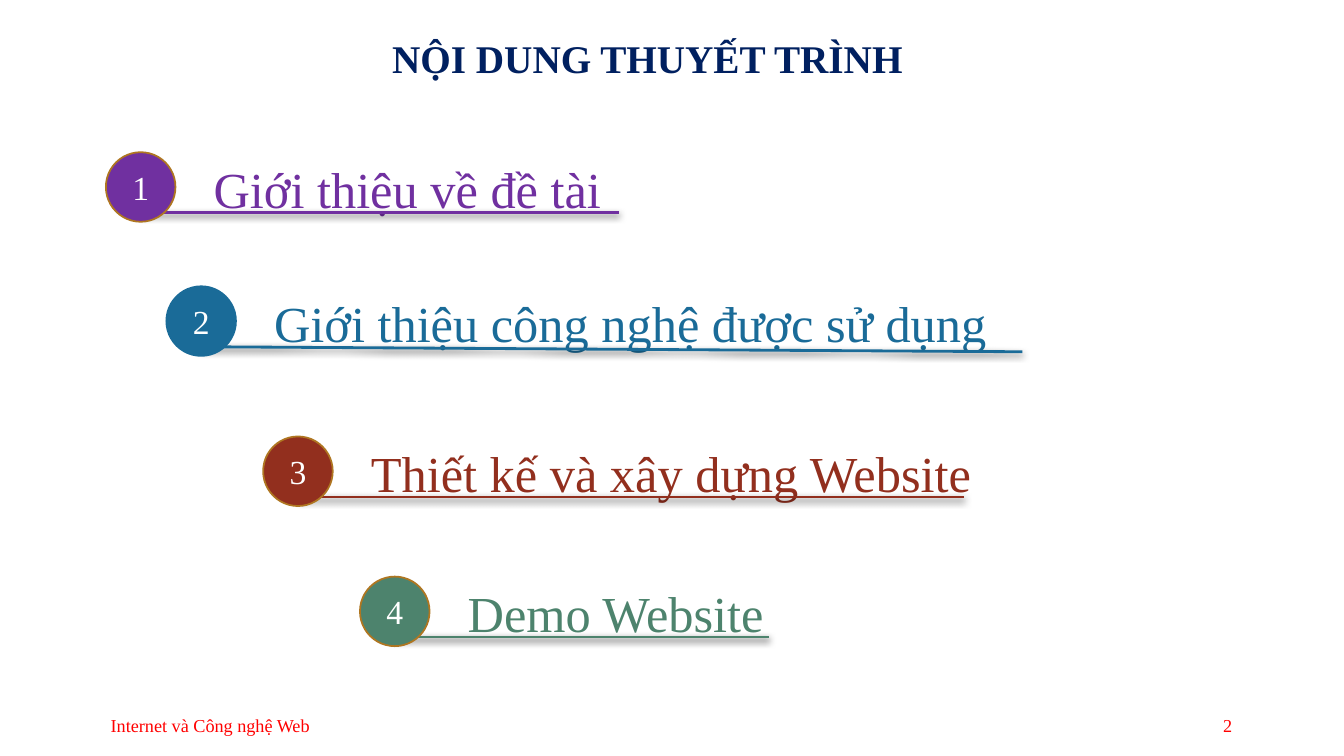
from lxml import etree
from pptx import Presentation, util as u
from pptx.dml.color import RGBColor
from pptx.enum import shapes, text
from pptx.oxml.ns import qn

NAVY = RGBColor(0x00, 0x20, 0x60)
RED = RGBColor(0xFF, 0x00, 0x00)
WHITE = RGBColor(0xFF, 0xFF, 0xFF)
GOLD = RGBColor(0xAF, 0x76, 0x21)
PURPLE = RGBColor(0x70, 0x30, 0xA0)
BLUE = RGBColor(0x1A, 0x6B, 0x98)
RUST = RGBColor(0x92, 0x2F, 0x1E)
GREEN = RGBColor(0x4D, 0x83, 0x6D)

FONT = "Times New Roman"
TITLE = "NỘI DUNG THUYẾT TRÌNH"
FOOTER = "Internet và Công nghệ Web"
PAGE = "2"
TOPICS = [
    dict(label="Giới thiệu về đề tài", at=(105, 151), wide=510, end=614, drop=0, color=PURPLE, rim=GOLD),
    dict(label="Giới thiệu công nghệ được sử dụng", at=(165, 284), wide=874, end=1014, drop=5, color=BLUE, rim=BLUE),
    dict(label="Thiết kế và xây dựng Website", at=(261, 433), wide=778, end=956, drop=0, color=RUST, rim=GOLD),
    dict(label="Demo Website", at=(357, 572), wide=510, end=763, drop=0, color=GREEN, rim=GOLD),
]

PX = 9144
DISC = 69
LEFT, RIGHT, CENTER = text.PP_ALIGN.LEFT, text.PP_ALIGN.RIGHT, text.PP_ALIGN.CENTER
TOP, MIDDLE = text.MSO_ANCHOR.TOP, text.MSO_ANCHOR.MIDDLE


def px(*vals):
    return [u.Emu(val * PX) for val in vals]


def write(shape, words, size, color, align=LEFT, anchor=MIDDLE, bold=False, pad=5):
    frame = shape.text_frame
    side, edge = px(10, pad)
    look = dict(word_wrap=True, auto_size=text.MSO_AUTO_SIZE.NONE, vertical_anchor=anchor,
                margin_left=side, margin_right=side, margin_top=edge, margin_bottom=edge)
    for name, val in look.items():
        setattr(frame, name, val)
    para = frame.paragraphs[0]
    para.alignment = align
    run = para.add_run()
    run.text = words
    for name, val in dict(name=FONT, size=u.Pt(size), bold=bold).items():
        setattr(run.font, name, val)
    run.font.color.rgb = color


def shade(line):
    effects = etree.SubElement(line._element.spPr, qn("a:effectLst"))
    outer = etree.SubElement(effects, qn("a:outerShdw"), blurRad=str(u.Pt(5)),
                             dist=str(u.Pt(2)), dir="5400000", algn="t", rotWithShape="0")
    black = etree.SubElement(outer, qn("a:srgbClr"), val="000000")
    etree.SubElement(black, qn("a:alpha"), val="60000")


def add_topic(slide, num, label, at, wide, end, drop, color, rim):
    x, y = at
    box = slide.shapes.add_textbox(*px(x + 97, y + 1, wide, 71))
    write(box, label, 36, color, anchor=TOP)

    line = slide.shapes.add_connector(shapes.MSO_CONNECTOR.STRAIGHT, *px(x + 35, y + 60, end, y + 60 + drop))
    line.line.color.rgb = color
    line.line.width = u.Pt(2)
    shade(line)

    disc = slide.shapes.add_shape(shapes.MSO_SHAPE.OVAL, *px(x, y, DISC, DISC))
    disc.shadow.inherit = False
    disc.fill.solid()
    disc.fill.fore_color.rgb = color
    disc.line.color.rgb = rim
    disc.line.width = u.Pt(1.25)
    write(disc, str(num), 24, WHITE, CENTER)


def main():
    deck = Presentation()
    deck.slide_width, deck.slide_height = px(1333, 750)
    slide = deck.slides.add_slide(deck.slide_layouts[5])

    title = slide.shapes.title
    title.left, title.top, title.width, title.height = px(358, 34, 547, 47)
    write(title, TITLE, 28, NAVY, RIGHT, bold=True, pad=10)

    for num, topic in enumerate(TOPICS, 1):
        add_topic(slide, num, **topic)

    for words, x, wide, align in [(FOOTER, 100, 730, LEFT), (PAGE, 1150, 82, RIGHT)]:
        write(slide.shapes.add_textbox(*px(x, 699, wide, 40)), words, 13, RED, align)

    deck.save("out.pptx")


if __name__ == "__main__":
    main()
